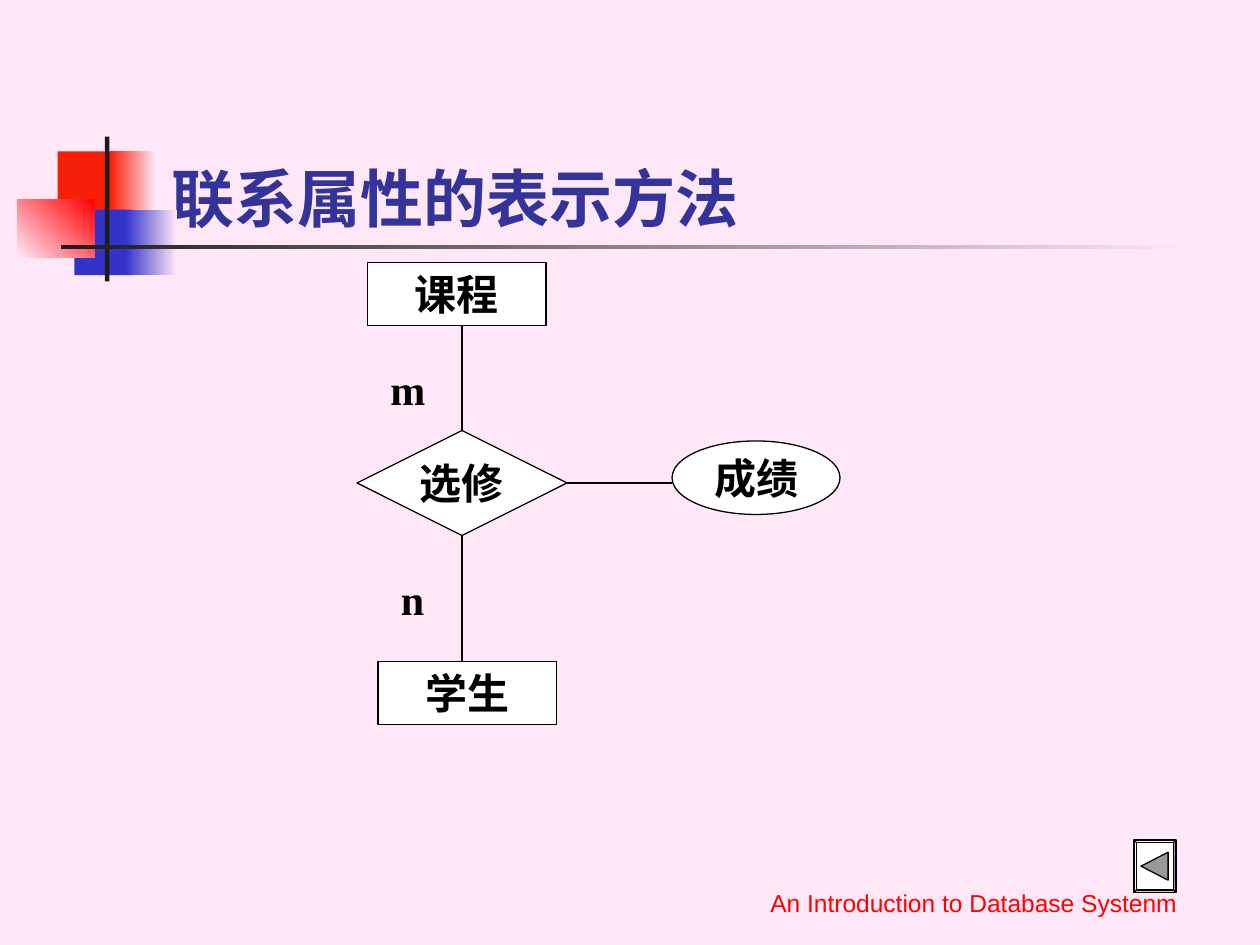
from lxml import etree
from pptx import Presentation
from pptx import util as u
from pptx.dml.color import RGBColor
from pptx.enum import shapes as s, text as t
from pptx.oxml.ns import qn

BACKGROUND, BLACK, WHITE = "FEE8F7", "000000", "FFFFFF"
RED, BLUE, DARK = "F81F08", "3333CC", "1C1C1C"
LINE_WIDTH = 0.75


def color(value):
    return RGBColor.from_string(value)


def points(*values):
    return [u.Pt(value) for value in values]


def add_text(shape, content, size, font, text_color, bold=False,
             align=t.PP_ALIGN.CENTER, anchor=t.MSO_ANCHOR.MIDDLE, wrap=True):
    frame = shape.text_frame
    frame.word_wrap = wrap
    frame.auto_size = t.MSO_AUTO_SIZE.NONE
    frame.vertical_anchor = anchor
    paragraph = frame.paragraphs[0]
    paragraph.alignment = align
    run = paragraph.add_run()
    run.text = content
    run.font.size = u.Pt(size)
    run.font.name = font
    run.font.bold = bold
    run.font.color.rgb = color(text_color)


def style(shape, fill, outlined=True):
    shape.shadow.inherit = False
    shape.fill.solid()
    shape.fill.fore_color.rgb = color(fill)
    if outlined:
        shape.line.color.rgb = color(BLACK)
        shape.line.width = u.Pt(LINE_WIDTH)
    else:
        shape.line.fill.background()


def add_block(slide, box, fill, fade_to=None, angle=0):
    """Add a borderless rectangle, solid or fading from fill to fade_to."""
    block = slide.shapes.add_shape(s.MSO_SHAPE.RECTANGLE, *points(*box))
    style(block, fill, outlined=False)
    if fade_to:
        block.fill.gradient()
        block.fill.gradient_angle = angle
        for stop, value in zip(block.fill.gradient_stops, (fill, fade_to)):
            stop.color.rgb = color(value)


def add_node(slide, kind, box, label):
    node = slide.shapes.add_shape(kind, *points(*box))
    style(node, WHITE)
    add_text(node, label, 24, "Times New Roman", BLACK, bold=True, wrap=False)


def add_line(slide, start, end):
    line = slide.shapes.add_connector(s.MSO_CONNECTOR.STRAIGHT, *points(*start, *end))
    line.line.color.rgb = color(BLACK)
    line.line.width = u.Pt(LINE_WIDTH)
    etree.SubElement(line._element.spPr, qn("a:effectLst"))


def add_label(slide, box, content, *font, **options):
    label = slide.shapes.add_textbox(*points(*box))
    add_text(label, content, *font, **options)


def add_decoration(slide):
    add_block(slide, (33, 86.5, 34.5, 37.5), RED)
    add_block(slide, (63, 86.5, 26, 37.5), RED, BACKGROUND)
    add_block(slide, (42.5, 119.75, 33, 37.5), BLUE)
    add_block(slide, (72, 119.75, 29, 37.5), BLUE, BACKGROUND)
    add_block(slide, (10, 113.75, 44, 33.25), "FF0000", BACKGROUND, angle=225)
    add_block(slide, (60, 78, 2.5, 82.75), DARK)
    add_block(slide, (35, 140, 648, 2.5), DARK, BACKGROUND)


def add_title(slide):
    title = slide.shapes.title
    title.left, title.top, title.width, title.height = points(91, 48, 613, 90)
    add_text(title, "联系属性的表示方法", 36, "Cabin", "333399", bold=True,
             align=t.PP_ALIGN.LEFT, anchor=t.MSO_ANCHOR.BOTTOM)


def add_diagram(slide):
    # Entities, relationship and its attribute
    add_node(slide, s.MSO_SHAPE.RECTANGLE, (210, 150, 102, 36), "课程")
    add_node(slide, s.MSO_SHAPE.DIAMOND, (204, 246, 120, 60), "选修")
    add_node(slide, s.MSO_SHAPE.RECTANGLE, (216, 378, 102, 36), "学生")
    add_node(slide, s.MSO_SHAPE.OVAL, (384, 252, 96, 42), "成绩")
    # Links
    add_line(slide, (264, 246), (264, 186))
    add_line(slide, (264, 306), (264, 378))
    add_line(slide, (324, 276), (384, 276))
    # Cardinalities
    for left, top, cardinality in ((216, 204, "m"), (222, 324, "n")):
        add_label(slide, (left, top, 30, 36), cardinality, 24, "Times New Roman",
                  BLACK, bold=True, align=t.PP_ALIGN.LEFT, anchor=t.MSO_ANCHOR.TOP)


def add_back_button(slide):
    frame = slide.shapes.add_shape(s.MSO_SHAPE.BEVEL, *points(648, 480, 24, 30))
    frame.adjustments[0] = 0.06
    style(frame, WHITE)
    builder = slide.shapes.build_freeform(*points(652, 495))
    builder.add_line_segments([points(667.5, 487), points(667.5, 503)])
    style(builder.convert_to_shape(), "999999")


def main():
    presentation = Presentation()
    presentation.slide_width, presentation.slide_height = points(720, 540)
    slide = presentation.slides.add_slide(presentation.slide_layouts[5])
    slide.background.fill.solid()
    slide.background.fill.fore_color.rgb = color(BACKGROUND)
    add_decoration(slide)
    add_title(slide)
    add_diagram(slide)
    add_back_button(slide)
    # Footer
    add_label(slide, (411, 492, 291, 36), "An Introduction to Database Systenm",
              14, "Arial", "FF0000", anchor=t.MSO_ANCHOR.BOTTOM)
    presentation.save("out.pptx")


if __name__ == "__main__":
    main()
